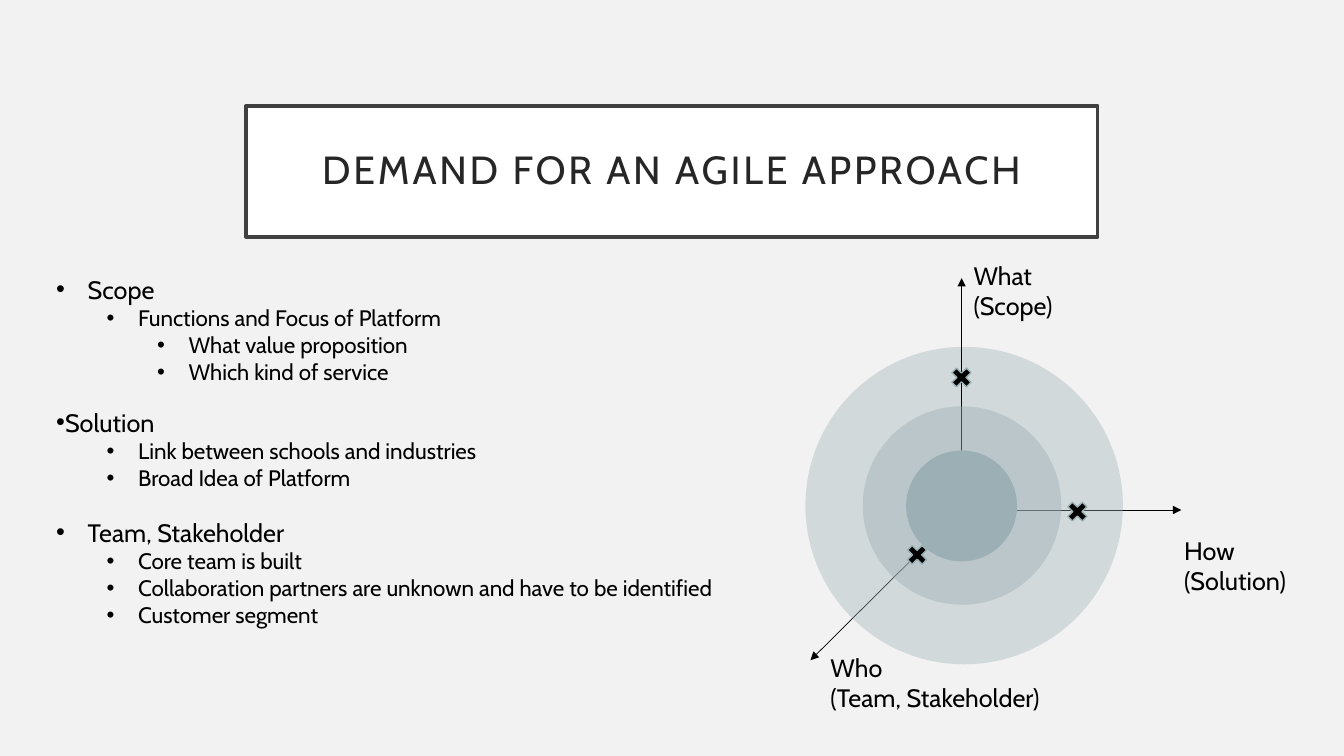
import pptx
import pptx.util
import pptx.dml.color
import pptx.enum.shapes
import pptx.enum.text
import pptx.oxml
import pptx.oxml.ns

Pt = pptx.util.Pt
SHAPE = pptx.enum.shapes.MSO_SHAPE
ALIGN = pptx.enum.text.PP_ALIGN
qn = pptx.oxml.ns.qn

FONT = "Cabin"
COLORS = {"back": "F2F2F2", "ring": "9CAFB5", "ink": "000000",
          "title": "262626", "frame": "404040", "panel": "FFFFFF"}

TITLE = "DEMAND FOR AN AGILE APPROACH"
TOPICS = [
    (192.2, 87.1, 22.5, [(0, "Scope"), (1, "Functions and Focus of Platform"),
                         (2, "What value proposition"), (2, "Which kind of service")]),
    (287.3, 67.7, 0, [(0, "Solution"), (1, "Link between schools and industries"),
                      (1, "Broad Idea of Platform")]),
    (365.8, 87.1, 22.5, [(0, "Team, Stakeholder"), (1, "Core team is built"),
                         (1, "Collaboration partners are unknown and have to be identified"),
                         (1, "Customer segment")]),
]
AXIS_LABELS = [
    (586.1, 462.2, 169.2, ["Who", "(Team, Stakeholder)"]),
    (688.3, 182.2, 96.5, ["What (Scope)"]),
    (838.8, 378.7, 96.5, ["How", "(Solution)"]),
]
ORIGIN = (686.9, 364.3)
AXES = {"who": (578.9, 471.6), "how": (843.8, 364.3), "what": (686.9, 198.7)}
RINGS = {"outer": (575.3, 247.7, 226.8, 37), "middle": (616.3, 290.2, 141.8, 43),
         "core": (647.3, 321.8, 79.2, 100)}
MARKERS = [(645.1, 386.6), (676.8, 259.9), (759.6, 355.7)]
SIZES = [18, 16, 16]
LEVEL_STEP = 36
HANG = 22.5


def rgb(name):
    return pptx.dml.color.RGBColor.from_string(COLORS[name])


def add_run(p, text, size, color="ink"):
    r = p.add_run()
    r.text = text
    r.font.name = FONT
    r.font.size = Pt(size)
    r.font.color.rgb = rgb(color)
    return r


def add_shape(kind, x, y, w, h, fill, line=None, width=1):
    sp = s.shapes.add_shape(kind, Pt(x), Pt(y), Pt(w), Pt(h))
    sp.shadow.inherit = False
    sp.fill.solid()
    sp.fill.fore_color.rgb = rgb(fill)
    if line:
        sp.line.color.rgb = rgb(line)
        sp.line.width = Pt(width)
    else:
        sp.line.fill.background()
    return sp


def add_ring(name):
    x, y, size, alpha = RINGS[name]
    sp = add_shape(SHAPE.OVAL, x, y, size, size, "ring")
    if alpha < 100:
        clr = sp._element.spPr.find(qn("a:solidFill"))[0]
        clr.append(pptx.oxml.parse_xml(
            f'<a:alpha {pptx.oxml.ns.nsdecls("a")} val="{alpha * 1000}"/>'))


def add_axis(name):
    ends = [Pt(v) for v in ORIGIN + AXES[name]]
    c = s.shapes.add_connector(pptx.enum.shapes.MSO_CONNECTOR.STRAIGHT, *ends)
    c.line.color.rgb = rgb("ink")
    c.line.width = Pt(0.5)
    ns = pptx.oxml.ns.nsdecls("a")
    c.line._get_or_add_ln().append(
        pptx.oxml.parse_xml(f'<a:tailEnd {ns} type="triangle"/>'))
    c._element.spPr.append(pptx.oxml.parse_xml(f"<a:effectLst {ns}/>"))


def add_text(x, y, w, h, count):
    tf = s.shapes.add_textbox(Pt(x), Pt(y), Pt(w), Pt(h)).text_frame
    tf.word_wrap = True
    for _ in range(count - 1):
        tf.add_paragraph()
    return tf.paragraphs


def set_bullet(p, left):
    pPr = p._p.get_or_add_pPr()
    pPr.set("marL", str(Pt(left)))
    pPr.set("indent", str(-Pt(HANG)))
    ns = pptx.oxml.ns.nsdecls("a")
    pPr.append(pptx.oxml.parse_xml(f'<a:buFont {ns} typeface="Arial"/>'))
    pPr.append(pptx.oxml.parse_xml(f'<a:buChar {ns} char="•"/>'))


prs = pptx.Presentation()
prs.slide_width, prs.slide_height = Pt(960), Pt(540)
s = prs.slides.add_slide(prs.slide_layouts[6])
s.background.fill.solid()
s.background.fill.fore_color.rgb = rgb("back")

add_axis("who")
add_axis("how")
add_ring("outer")
add_axis("what")
add_ring("middle")
add_ring("core")

for x, y, w, lines in AXIS_LABELS:
    for p, line in zip(add_text(x, y, w, 51, len(lines)), lines):
        add_run(p, line, SIZES[0])

for x, y in MARKERS:
    add_shape(SHAPE.MATH_MULTIPLY, x, y, 20, 19.5, "ink", "ring")

for y, h, first_left, items in TOPICS:
    for p, (level, text) in zip(add_text(33.1, y, 513.4, h, len(items)), items):
        p.level = level
        set_bullet(p, HANG + level * LEVEL_STEP if level else first_left)
        add_run(p, text, SIZES[level])

sp = add_shape(SHAPE.RECTANGLE, 175.7, 75.6, 608.4, 93.6, "panel", "frame", 2.5)
tf = sp.text_frame
tf.word_wrap = True
tf.vertical_anchor = pptx.enum.text.MSO_ANCHOR.MIDDLE
tf.margin_left = tf.margin_right = tf.margin_top = tf.margin_bottom = Pt(14.4)
p = tf.paragraphs[0]
p.alignment = ALIGN.CENTER
p.line_spacing = 0.9
r = add_run(p, TITLE, 28, "title")
r._r.get_or_add_rPr().set("spc", "200")

prs.save("out.pptx")
